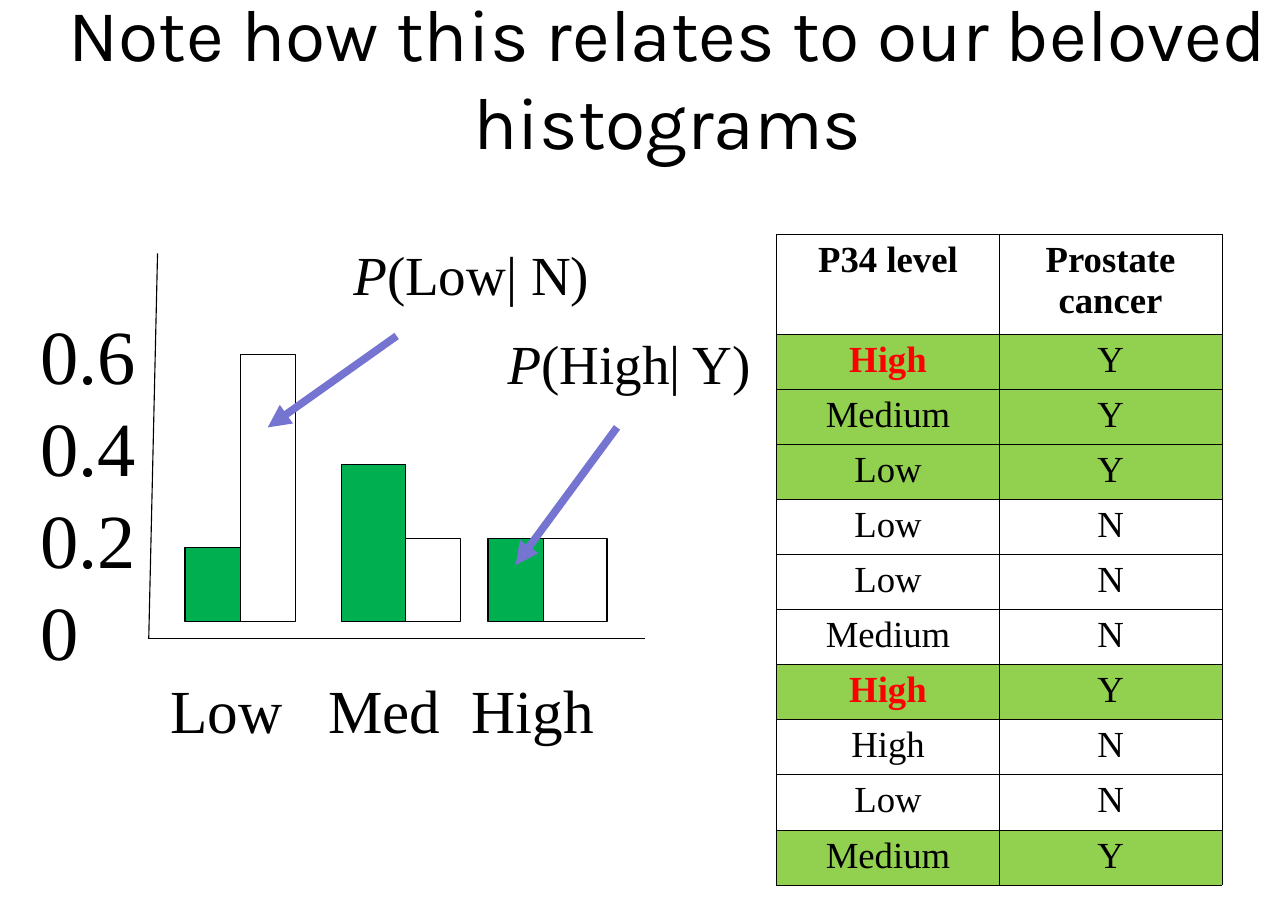
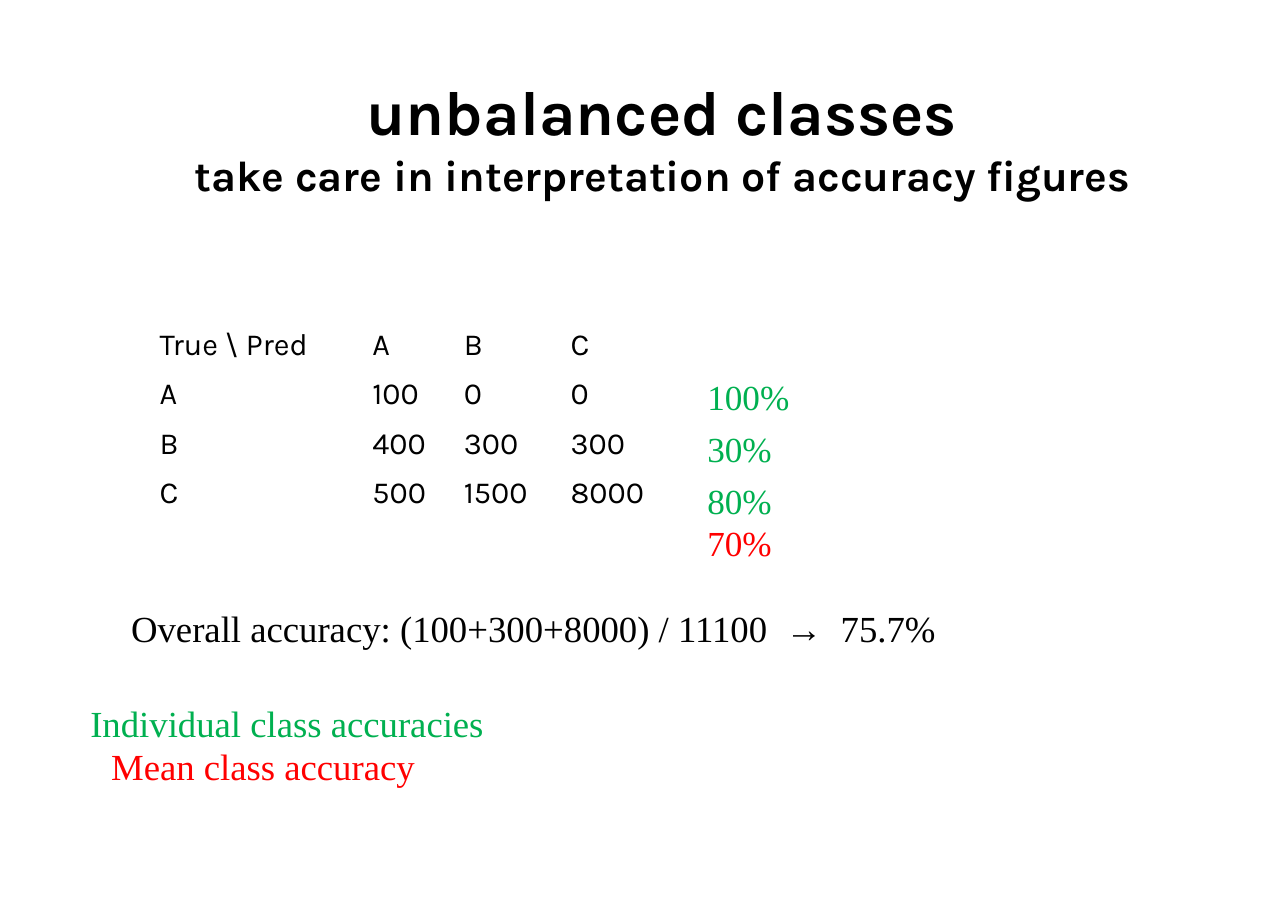
from lxml.etree import SubElement
from pptx import Presentation
from pptx.dml.color import RGBColor
from pptx.enum.shapes import MSO_CONNECTOR, MSO_SHAPE
from pptx.enum.text import MSO_ANCHOR, PP_ALIGN
from pptx.oxml.ns import qn
from pptx.util import Inches, Pt

COLORS = {
    "black": "000000",
    "white": "FFFFFF",
    "green": "00B050",
    "lime": "92D050",
    "red": "FF0000",
    "arrow": "7575D1",
}
SERIF = "Times New Roman"
TITLE_FONT = "Karla"


def color(name):
    return RGBColor.from_string(COLORS[name])


def style(paragraph, size, name="black", font=SERIF, bold=False):
    paragraph.font.size = Pt(size)
    paragraph.font.name = font
    paragraph.font.bold = bold
    paragraph.font.color.rgb = color(name)


def add_tabs(paragraph, stops):
    tab_list = SubElement(paragraph._p.get_or_add_pPr(), qn("a:tabLst"))
    for stop in stops:
        SubElement(tab_list, qn("a:tab"), pos=str(Inches(stop)), algn="l")


def add_text_box(slide, box, inset=0.1):
    shape = slide.shapes.add_textbox(*map(Inches, box))
    frame = shape.text_frame
    frame.word_wrap = True
    frame.margin_left = frame.margin_right = Inches(inset)
    frame.margin_top = frame.margin_bottom = Inches(inset / 2)
    return frame


def add_label(slide, box, text, size, name="black", inset=0.1, tabs=()):
    paragraph = add_text_box(slide, box, inset).paragraphs[0]
    if tabs:
        add_tabs(paragraph, tabs)
    paragraph.text = text
    style(paragraph, size, name)
    return paragraph


def add_title(slide, box, lines, bold=False):
    """Each line is a (text, size) pair."""
    frame = add_text_box(slide, box, 0.11)
    frame.vertical_anchor = MSO_ANCHOR.MIDDLE
    for index, (text, size) in enumerate(lines):
        paragraph = frame.add_paragraph() if index else frame.paragraphs[0]
        paragraph.text = text
        paragraph.alignment = PP_ALIGN.CENTER
        style(paragraph, size, font=TITLE_FONT, bold=bold)


def add_line(slide, start, end, name="black", width=0.75, arrow=False):
    connector = slide.shapes.add_connector(
        MSO_CONNECTOR.STRAIGHT, *map(Inches, (*start, *end)))
    connector.line.color.rgb = color(name)
    connector.line.width = Pt(width)
    if arrow:
        SubElement(connector.line._ln, qn("a:tailEnd"), type="triangle")
    SubElement(connector._element.spPr, qn("a:effectLst"))


def add_grid(slide, left, top, widths, heights):
    shape = slide.shapes.add_table(
        len(heights), len(widths), Inches(left), Inches(top),
        Inches(sum(widths)), Inches(sum(heights)))
    table = shape.table
    table.first_row = table.horz_banding = False
    for column, width in zip(table.columns, widths):
        column.width = Inches(width)
    for row, height in zip(table.rows, heights):
        row.height = Inches(height)
    return table


def add_borders(cell):
    properties = cell._tc.get_or_add_tcPr()
    for index, side in enumerate(("a:lnL", "a:lnR", "a:lnT", "a:lnB")):
        border = properties.makeelement(qn(side), {"w": str(Pt(0.45))})
        fill = SubElement(border, qn("a:solidFill"))
        SubElement(fill, qn("a:srgbClr"), val=COLORS["black"])
        properties.insert(index, border)


# Hand-drawn histogram
def add_histogram(slide, left, top):
    bottom = top + 3.34
    bars = [  # offset, width, height, fill
        (0.33, 0.5, 0.67, "green"), (0.83, 0.5, 2.42, "white"),
        (1.75, 0.58, 1.42, "green"), (2.33, 0.5, 0.75, "white"),
        (3.08, 0.5, 0.75, "green"), (3.58, 0.58, 0.75, "white"),
    ]
    for offset, width, height, fill in bars:
        bar = slide.shapes.add_shape(
            MSO_SHAPE.RECTANGLE, Inches(left + offset),
            Inches(bottom - height), Inches(width), Inches(height))
        bar.shadow.inherit = False
        bar.fill.solid()
        bar.fill.fore_color.rgb = color(fill)
        bar.line.color.rgb = color("black")
        bar.line.width = Pt(0.75)

    # Axes and their labels
    origin = (left, top + 3.5)
    add_line(slide, origin, (left + 4.5, top + 3.5))
    add_line(slide, origin, (left + 0.08, top))
    add_label(slide, (left + 0.1, top + 3.75, 4.2, 0.77),
              "Low\tMed\tHigh", 40, tabs=(1.43, 2.73))
    scale = add_text_box(slide, (left - 1.08, top + 0.45, 1.07, 3.44))
    for index, value in enumerate(("0.6", "0.4", "0.2", "0")):
        paragraph = scale.add_paragraph() if index else scale.paragraphs[0]
        paragraph.text = value
        paragraph.line_spacing = Pt(60)
        style(paragraph, 50)

    # Probabilities, each with an arrow to its bar
    notes = [
        ("(Low| N)", (1.76, -0.17), (2.25, 0.75), (1.08, 1.58)),
        ("(High| Y)", (3.16, 0.64), (4.25, 1.58), (3.33, 2.83)),
    ]
    for text, place, start, end in notes:
        paragraph = add_label(
            slide, (left + place[0], top + place[1], 2.5, 0.7), "P", 36)
        paragraph.runs[0].font.italic = True
        paragraph.add_run().text = text
        add_line(slide, (left + start[0], top + start[1]),
                 (left + end[0], top + end[1]), "arrow", 5, arrow=True)


# Patient records, with the cancer cases highlighted
def add_records(slide, left, top):
    rows = [("P34 level", "Prostate cancer")] + [
        ("High", "Y"), ("Medium", "Y"), ("Low", "Y"), ("Low", "N"),
        ("Low", "N"), ("Medium", "N"), ("High", "Y"), ("High", "N"),
        ("Low", "N"), ("Medium", "Y"),
    ]
    table = add_grid(slide, left, top, [2.02] * 2, [0.8] + [0.41] * 10)
    for row_index, row in enumerate(rows):
        for column_index, text in enumerate(row):
            cell = table.cell(row_index, column_index)
            cell.fill.solid()
            cell.fill.fore_color.rgb = color("lime" if row[1] == "Y" else "white")
            add_borders(cell)
            paragraph = cell.text_frame.paragraphs[0]
            paragraph.text = text
            paragraph.alignment = PP_ALIGN.CENTER
            hit = row == ("High", "Y") and column_index == 0
            style(paragraph, 24, "red" if hit else "black",
                  bold=hit or row_index == 0)


# Confusion matrix with the accuracy of each class
def add_confusion_matrix(slide, left, top):
    rows = [
        ("True \\ Pred", "A", "B", "C"),
        ("A", "100", "0", "0"),
        ("B", "400", "300", "300"),
        ("C", "500", "1500", "8000"),
    ]
    table = add_grid(slide, left, top, [1.93, 0.83, 0.97, 1.24], [0.45] * 4)
    for row_index, row in enumerate(rows):
        for column_index, text in enumerate(row):
            cell = table.cell(row_index, column_index)
            cell.fill.background()
            cell.margin_left = cell.margin_right = Inches(0.12)
            paragraph = cell.text_frame.paragraphs[0]
            paragraph.text = text
            style(paragraph, 20, font=TITLE_FONT)

    rates = [("100%", "green", 6.9), ("30%", "green", 6.9),
             ("80%", "green", 0), ("70%", "red", 0)]
    frame = add_text_box(slide, (left + 4.98, top + 0.43, 1.29, 2.22), 0.11)
    for index, (text, name, space) in enumerate(rates):
        paragraph = frame.add_paragraph() if index else frame.paragraphs[0]
        paragraph.text = text
        paragraph.line_spacing = Pt(27.4)
        paragraph.space_after = Pt(space)
        style(paragraph, 23, name)


# Overall result and the colour key
def add_summary(slide, left, top):
    overall = add_label(
        slide, (left + 0.37, top, 7.72, 0.51),
        "Overall accuracy: (100+300+8000) / 11100\t", 24,
        inset=0.11, tabs=(5.94, 6.44))
    arrow = overall.add_run()
    arrow.text = "→"
    arrow.font.name = "Arial"
    overall.add_run().text = "\t75.7%"
    add_label(slide, (left, top + 0.87, 3.9, 0.51),
              "Individual class accuracies", 24, "green", 0.11)
    add_label(slide, (left + 0.19, top + 1.26, 3.1, 0.51),
              "Mean class accuracy", 24, "red", 0.11)


def build_histogram_slide(slide):
    add_title(slide, (0.43, 0, 11.26, 1.38),
              [("Note how this relates to our beloved histograms", 48)])
    add_records(slide, 7.05, 2.13)
    add_histogram(slide, 1.35, 2.3)


def build_accuracy_slide(slide):
    add_confusion_matrix(slide, 1.33, 2.92)
    add_summary(slide, 0.71, 5.44)
    add_title(slide, (0.75, 0.55, 10.52, 1.38),
              [("unbalanced classes", 41),
               ("take care in interpretation of accuracy figures", 28)],
              bold=True)


def main():
    presentation = Presentation()
    presentation.slide_width = Inches(11.69)
    presentation.slide_height = Inches(8.27)
    for build in (build_histogram_slide, build_accuracy_slide):
        build(presentation.slides.add_slide(presentation.slide_layouts[6]))
    presentation.save("out.pptx")


if __name__ == "__main__":
    main()
